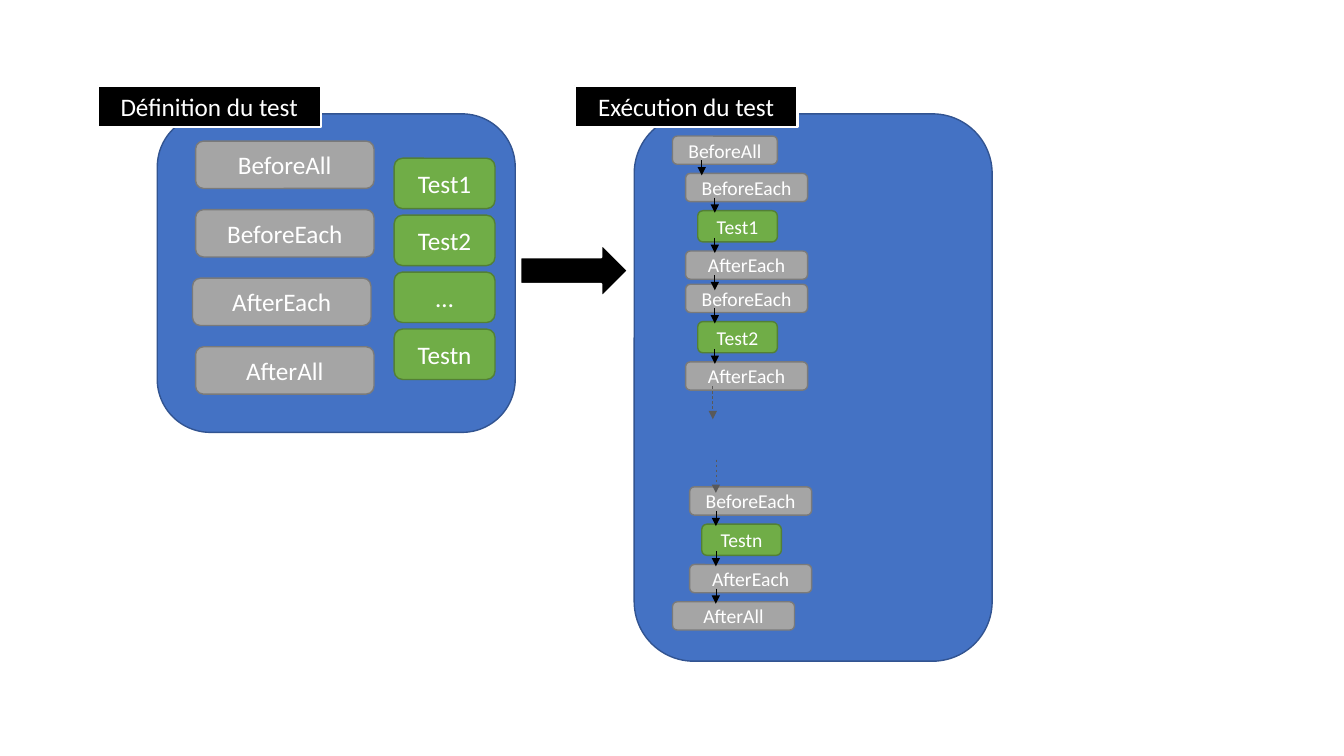
import pptx
import pptx.util
import pptx.dml.color
import pptx.enum.dml
import pptx.enum.shapes
import pptx.enum.text
import pptx.oxml
import pptx.oxml.ns

Inches, Pt = pptx.util.Inches, pptx.util.Pt
MSO = pptx.enum.shapes.MSO_SHAPE
BLUE, GREY, GREEN = ("4472C4", "325491"), ("A5A5A5", "7A7A7A"), ("70AD47", "538035")
BLACK = ("000000", "FFFFFF")


def rgb(value):
    return pptx.dml.color.RGBColor.from_string(value)


def add_box(slide, kind, box, colors, text="", size=18, line=1):
    sp = slide.shapes.add_shape(kind, *[Inches(v) for v in box])
    sp.shadow.inherit = False
    sp.fill.solid()
    sp.fill.fore_color.rgb = rgb(colors[0])
    sp.line.color.rgb = rgb(colors[1])
    sp.line.width = Pt(line)
    if text:
        tf = sp.text_frame
        tf.vertical_anchor = pptx.enum.text.MSO_ANCHOR.MIDDLE
        p = tf.paragraphs[0]
        p.text = text
        p.alignment = pptx.enum.text.PP_ALIGN.CENTER
        p.font.size = Pt(size)
        p.font.name = "Calibri"
        p.font.color.rgb = rgb("FFFFFF")
    return sp


def add_arrow(slide, x, y, length=0.15, color="000000", dashed=False):
    cx = slide.shapes.add_connector(
        pptx.enum.shapes.MSO_CONNECTOR.STRAIGHT,
        Inches(x), Inches(y), Inches(x), Inches(y + length))
    cx.line.color.rgb = rgb(color)
    cx.line.width = Pt(0.5)
    if dashed:
        cx.line.dash_style = pptx.enum.dml.MSO_LINE.DASH
    qn, element = pptx.oxml.ns.qn, pptx.oxml.parse_xml
    ns = pptx.oxml.ns.nsdecls("a")
    cx.line._get_or_add_ln().append(element(f'<a:tailEnd {ns} type="triangle"/>'))
    cx._element.find(qn("p:spPr")).append(element(f"<a:effectLst {ns}/>"))


def add_panel(slide, box, title):
    left, top = box[:2]
    add_box(slide, MSO.ROUNDED_RECTANGLE, box, BLUE)
    add_box(slide, MSO.RECTANGLE, (left - 0.59, top - 0.28, 2.21, 0.41),
            BLACK, title, line=1.5)


def add_definition(slide, box):
    left, top = box[:2]
    add_panel(slide, box, "Définition du test")
    # Hooks; AfterEach sits slightly to the left
    hooks = [("BeforeAll", 0.38), ("BeforeEach", 0.38), ("AfterEach", 0.35), ("AfterAll", 0.38)]
    for i, (hook, x) in enumerate(hooks):
        add_box(slide, MSO.ROUNDED_RECTANGLE,
                (left + x, top + 0.27 + i * 0.68, 1.77, 0.47), GREY, hook)
    # Tests
    for i, test in enumerate(["Test1", "Test2", "…", "Testn"]):
        add_box(slide, MSO.ROUNDED_RECTANGLE,
                (left + 2.35, top + 0.44 + i * 0.565, 1, 0.5), GREEN, test)


def add_execution(slide, box):
    left, top = box[:2]
    add_panel(slide, box, "Exécution du test")
    # Steps: text, colours, x, y, width, height, arrow x
    steps = [("BeforeAll", GREY, 0.38, 0.22, 1.04, 0.28, 0.67)]
    for test, x, y, arrow_x in [("Test1", 0.51, 0.59, 0.8),
                                ("Test2", 0.51, 1.69, 0.8),
                                ("Testn", 0.55, 3.7, 0.81)]:
        steps += [("BeforeEach", GREY, x, y, 1.21, 0.28, arrow_x),
                  (test, GREEN, x + 0.12, y + 0.37, 0.79, 0.31, arrow_x),
                  ("AfterEach", GREY, x, y + 0.77, 1.21, 0.28, arrow_x)]
    steps.append(("AfterAll", GREY, 0.38, 4.84, 1.21, 0.28, None))
    for text, colors, x, y, w, h, _ in steps:
        add_box(slide, MSO.ROUNDED_RECTANGLE, (left + x, top + y, w, h), colors, text, 14)

    # Arrows to the next step; dashed ones mark the skipped tests
    last_before_gap = 6
    for i, (_, _, _, y, _, h, arrow_x) in enumerate(steps[:-1]):
        if i != last_before_gap:
            add_arrow(slide, left + arrow_x, top + y + h - 0.04)
    for x, y in [(0.78, 2.7), (0.81, 3.43)]:
        add_arrow(slide, left + x, top + y, 0.33, "595959", dashed=True)


prs = pptx.Presentation()
prs.slide_width, prs.slide_height = Inches(13.33), Inches(7.5)
slide = prs.slides.add_slide(prs.slide_layouts[6])
add_definition(slide, (1.56, 1.13, 3.55, 3.16))
add_box(slide, MSO.RIGHT_ARROW, (5.16, 2.42, 1.07, 0.53), BLACK, line=1.5)
add_execution(slide, (6.29, 1.13, 3.55, 5.43))
prs.save("out.pptx")
